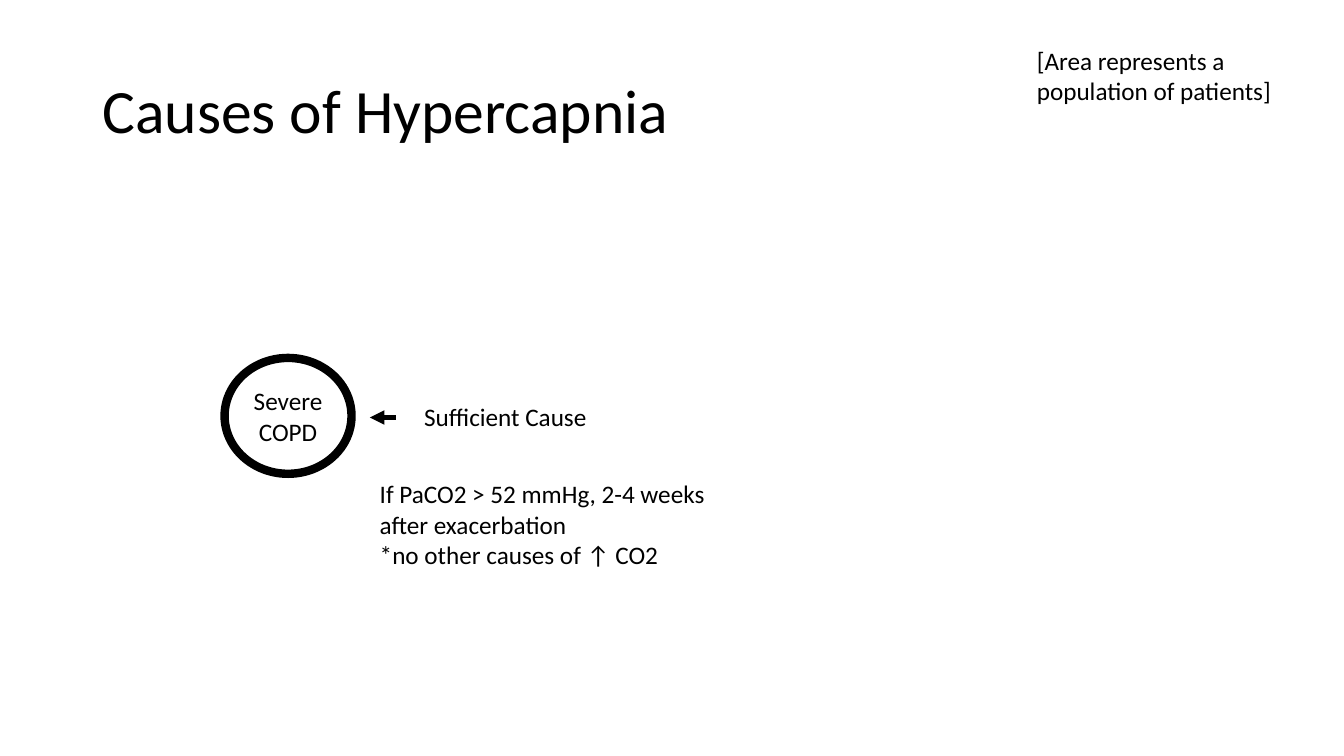
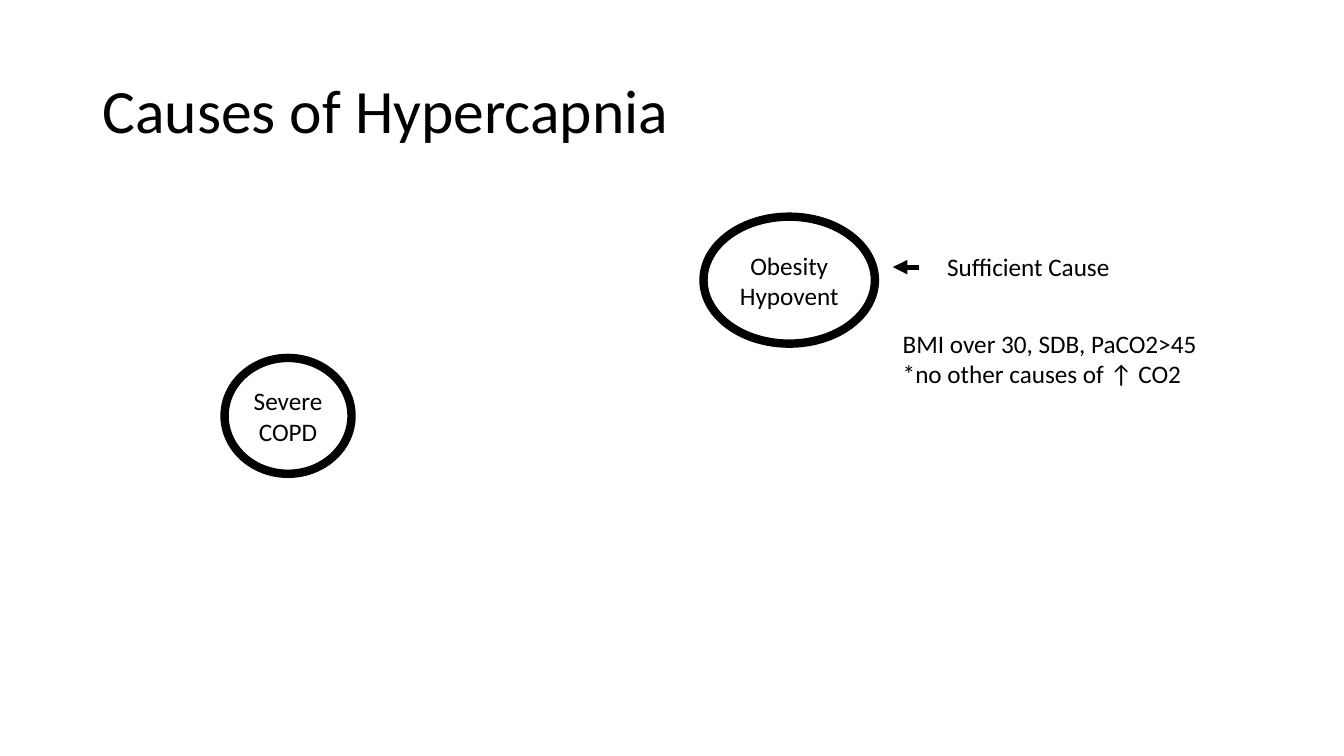
from dataclasses import dataclass

import pptx
import pptx.dml.color
import pptx.enum.shapes
import pptx.enum.text
import pptx.oxml
import pptx.oxml.ns
import pptx.presentation
import pptx.slide
import pptx.text.text
import pptx.util
from pptx.util import Cm

BLACK = pptx.dml.color.RGBColor(0x00, 0x00, 0x00)
FONT = "Calibri"
TITLE_SIZE = pptx.util.Pt(44)
BODY_SIZE = pptx.util.Pt(18)
TITLE_ONLY = 5


@dataclass(frozen=True)
class Box:
    left: float
    top: float
    width: float
    height: float

    def lengths(self) -> tuple[Cm, Cm, Cm, Cm]:
        return Cm(self.left), Cm(self.top), Cm(self.width), Cm(self.height)


@dataclass(frozen=True)
class Cause:
    name: str
    box: Box


@dataclass(frozen=True)
class Callout:
    """An arrow whose tip points left, with a label beside it and a note below."""
    tip_x: float
    tip_y: float
    note_width: float
    note_height: float
    note: tuple[str, ...]


TITLE_BOX = Box(2.33, 1.01, 29.21, 3.68)
AREA_BOX = Box(25.88, 1.01, 6.63, 1.85)

COPD = Cause("Severe COPD", Box(5.66, 9.02, 3.2, 2.92))
OBESITY = Cause("Obesity Hypovent", Box(17.73, 5.46, 4.32, 3.2))

NO_OTHER_CAUSES = "*no other causes of ↑️ CO2"
COPD_CALLOUT = Callout(
    9.32, 10.52, 8.84, 2.57,
    ("If PaCO2 > 52 mmHg, 2-4 weeks after exacerbation", NO_OTHER_CAUSES))
OBESITY_CALLOUT = Callout(
    22.5, 6.73, 9.47, 1.8,
    ("BMI over 30, SDB, PaCO2>45", NO_OTHER_CAUSES))


def add_run(p: pptx.text.text._Paragraph, text: str, size: pptx.util.Pt) -> None:
    r = p.add_run()
    r.text = text
    r.font.name = FONT
    r.font.size = size
    r.font.color.rgb = BLACK


def add_title(s: pptx.slide.Slide, text: str) -> None:
    title = s.shapes.title
    title.left, title.top, title.width, title.height = TITLE_BOX.lengths()
    tf = title.text_frame
    tf.auto_size = pptx.enum.text.MSO_AUTO_SIZE.NONE
    tf.vertical_anchor = pptx.enum.text.MSO_ANCHOR.MIDDLE
    p = tf.paragraphs[0]
    p.alignment = pptx.enum.text.PP_ALIGN.LEFT
    p.line_spacing = 0.9
    add_run(p, text, TITLE_SIZE)


def add_text(s: pptx.slide.Slide, box: Box, *lines: str) -> None:
    tf = s.shapes.add_textbox(*box.lengths()).text_frame
    tf.word_wrap = True
    for i, line in enumerate(lines):
        p = tf.add_paragraph() if i else tf.paragraphs[0]
        add_run(p, line, BODY_SIZE)


def add_cause(s: pptx.slide.Slide, cause: Cause) -> None:
    sp = s.shapes.add_shape(
        pptx.enum.shapes.MSO_SHAPE.OVAL, *cause.box.lengths())
    sp.shadow.inherit = False
    sp.fill.background()
    sp.line.color.rgb = BLACK
    sp.line.width = pptx.util.Pt(6)
    tf = sp.text_frame
    tf.word_wrap = True
    tf.margin_left = tf.margin_right = 0
    tf.vertical_anchor = pptx.enum.text.MSO_ANCHOR.MIDDLE
    p = tf.paragraphs[0]
    p.alignment = pptx.enum.text.PP_ALIGN.CENTER
    add_run(p, cause.name, BODY_SIZE)


def add_arrow(s: pptx.slide.Slide, tip_x: float, tip_y: float) -> None:
    arrow = s.shapes.add_connector(
        pptx.enum.shapes.MSO_CONNECTOR.STRAIGHT,
        Cm(tip_x + 0.65), Cm(tip_y), Cm(tip_x), Cm(tip_y))
    arrow.line.color.rgb = BLACK
    arrow.line.width = pptx.util.Pt(3.5)
    head = pptx.oxml.parse_xml(
        f'<a:tailEnd {pptx.oxml.ns.nsdecls("a")} type="triangle"/>')
    arrow.line._get_or_add_ln().append(head)
    no_shadow = pptx.oxml.parse_xml(
        f'<a:effectLst {pptx.oxml.ns.nsdecls("a")}/>')
    arrow._element.spPr.append(no_shadow)


def add_callout(s: pptx.slide.Slide, callout: Callout) -> None:
    x, y = callout.tip_x, callout.tip_y
    add_text(s, Box(x + 1.12, y - 0.52, 5.61, 1.02), "Sufficient Cause")
    add_arrow(s, x, y)
    add_text(s, Box(x, y + 1.42, callout.note_width, callout.note_height),
             *callout.note)


def add_causes_slide(prs: pptx.presentation.Presentation,
                     causes: tuple[Cause, ...],
                     callout: Callout) -> pptx.slide.Slide:
    s = prs.slides.add_slide(prs.slide_layouts[TITLE_ONLY])
    add_title(s, "Causes of Hypercapnia")
    for cause in causes:
        add_cause(s, cause)
    add_callout(s, callout)
    return s


def main() -> None:
    prs = pptx.Presentation()
    prs.slide_width, prs.slide_height = Cm(33.87), Cm(19.05)
    s = add_causes_slide(prs, (COPD,), COPD_CALLOUT)
    add_text(s, AREA_BOX, "[Area represents a population of patients]")
    add_causes_slide(prs, (COPD, OBESITY), OBESITY_CALLOUT)
    prs.save("out.pptx")


if __name__ == "__main__":
    main()
